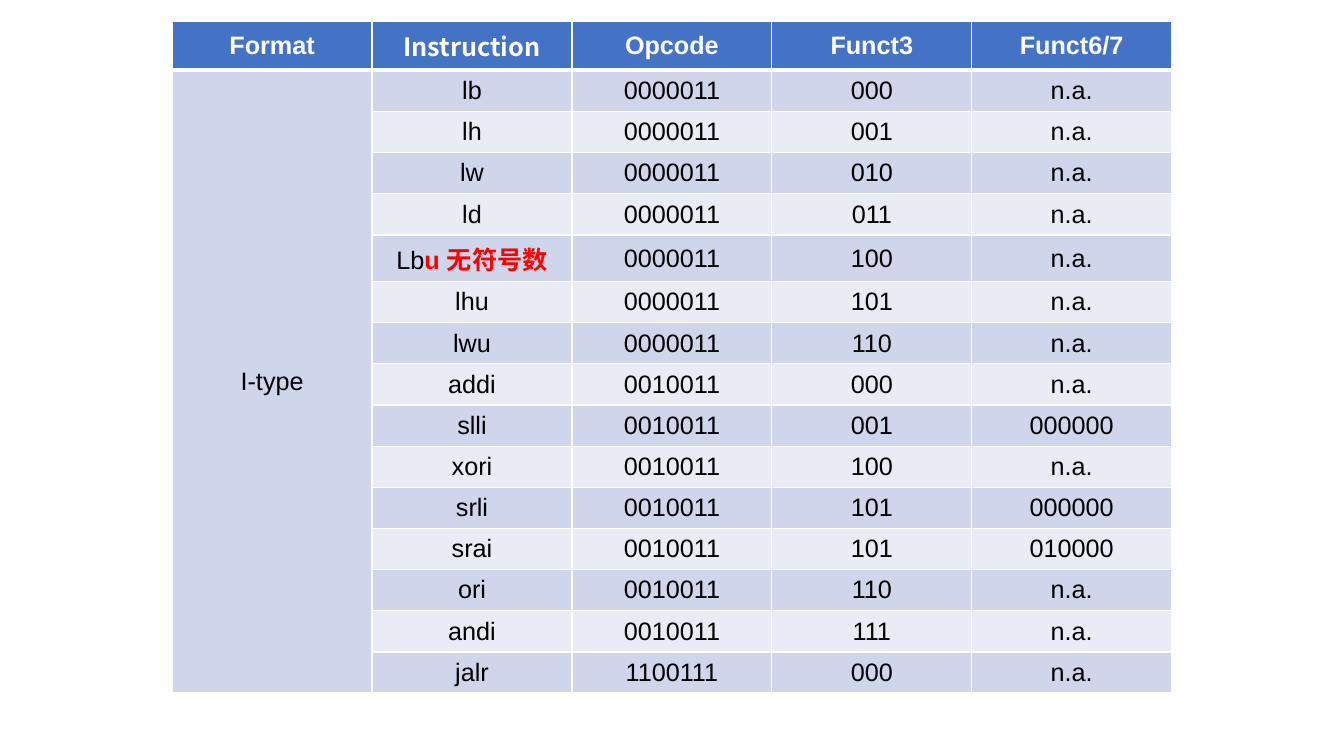
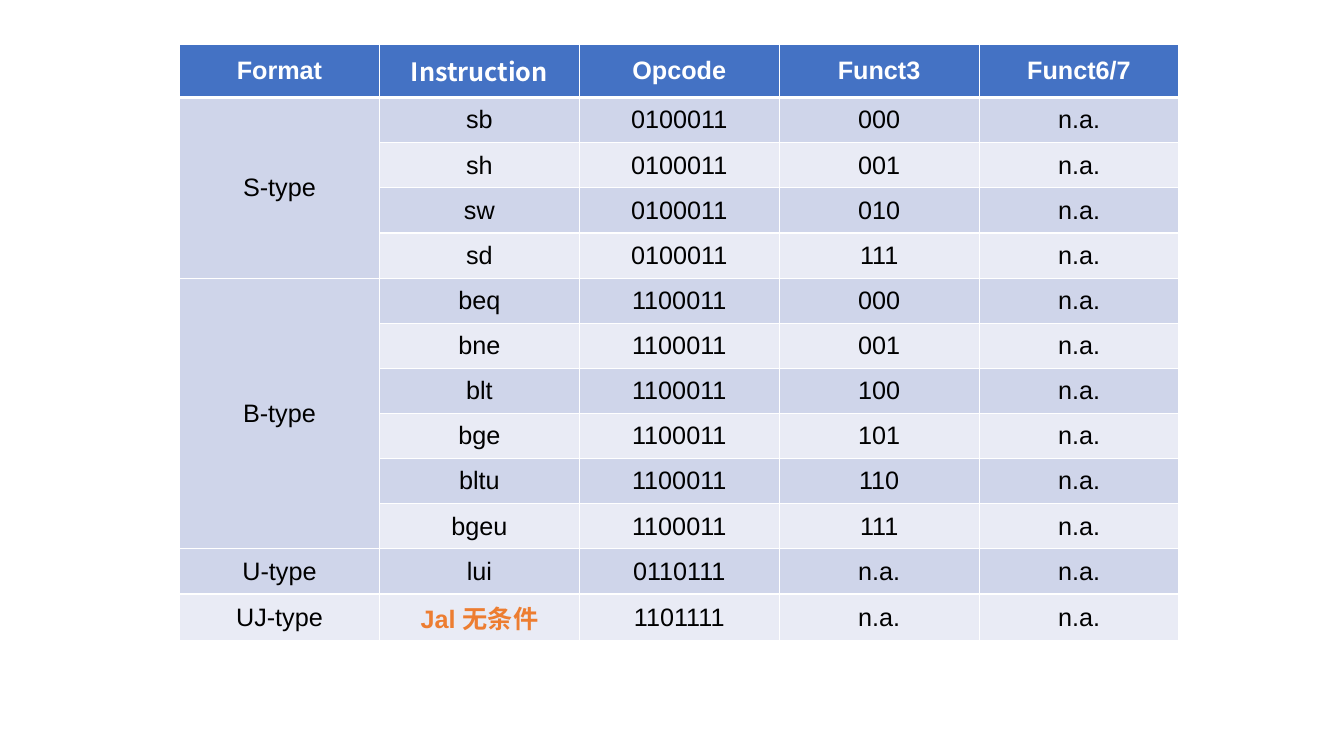
from lxml import etree
from pptx import Presentation
from pptx.dml.color import RGBColor
from pptx.enum.text import MSO_ANCHOR, PP_ALIGN
from pptx.oxml.ns import qn
from pptx.util import Pt

CENTER = PP_ALIGN.CENTER
MIDDLE = MSO_ANCHOR.MIDDLE
PX = 9525  # EMU per px, 96 px to the inch
COLORS = {
    "header": "4472C4",
    "band_dark": "CFD5EA",
    "band_light": "E9EBF5",
    "white": "FFFFFF",
    "black": "000000",
    "red": "FF0000",
    "orange": "ED7D31",
}
FONT = "Arial"
CJK_FONT = "Noto Sans CJK SC"
TEXT_SIZE = 18
GRID_LINE, HEADER_LINE = 1, 3
HEADERS = ["Format", "Instruction", "Opcode", "Funct3", "Funct6/7"]
NA = "n.a."

# Each group: format name and its rows; an instruction may be a list of (text, color) runs
I_TYPE = [
    ("I-type", [
        ("lb", "0000011", "000", NA),
        ("lh", "0000011", "001", NA),
        ("lw", "0000011", "010", NA),
        ("ld", "0000011", "011", NA),
        ([("Lb", None), ("u 无符号数", "red")], "0000011", "100", NA),
        ("lhu", "0000011", "101", NA),
        ("lwu", "0000011", "110", NA),
        ("addi", "0010011", "000", NA),
        ("slli", "0010011", "001", "000000"),
        ("xori", "0010011", "100", NA),
        ("srli", "0010011", "101", "000000"),
        ("srai", "0010011", "101", "010000"),
        ("ori", "0010011", "110", NA),
        ("andi", "0010011", "111", NA),
        ("jalr", "1100111", "000", NA),
    ]),
]
OTHER_TYPES = [
    ("S-type", [
        ("sb", "0100011", "000", NA),
        ("sh", "0100011", "001", NA),
        ("sw", "0100011", "010", NA),
        ("sd", "0100011", "111", NA),
    ]),
    ("B-type", [
        ("beq", "1100011", "000", NA),
        ("bne", "1100011", "001", NA),
        ("blt", "1100011", "100", NA),
        ("bge", "1100011", "101", NA),
        ("bltu", "1100011", "110", NA),
        ("bgeu", "1100011", "111", NA),
    ]),
    ("U-type", [("lui", "0110111", NA, NA)]),
    ("UJ-type", [([("Jal 无条件", "orange")], "1101111", NA, NA)]),
]


def rgb(name):
    return RGBColor.from_string(COLORS[name])


class Deck:
    """Holds the shared style and the current slide."""

    def __init__(self, width, height):
        self.presentation = Presentation()
        self.presentation.slide_width = width * PX
        self.presentation.slide_height = height * PX
        self.slide = None

    def add_slide(self):
        self.slide = self.presentation.slides.add_slide(self.presentation.slide_layouts[6])

    def border(self, cell, side, width):
        properties = cell._tc.get_or_add_tcPr()
        line = etree.SubElement(properties, qn(f"a:ln{side}"), w=str(Pt(width)))
        fill = etree.SubElement(line, qn("a:solidFill"))
        etree.SubElement(fill, qn("a:srgbClr"), val=COLORS["white"])

    def style_cell(self, cell, fill, top=GRID_LINE, bottom=GRID_LINE):
        # Borders come before the fill in the cell properties
        for side, width in (("L", GRID_LINE), ("R", GRID_LINE), ("T", top), ("B", bottom)):
            self.border(cell, side, width)
        cell.fill.solid()
        cell.fill.fore_color.rgb = rgb(fill)
        cell.vertical_anchor = MIDDLE

    def cell_text(self, cell, content, color="black", bold=False, font=FONT):
        paragraph = cell.text_frame.paragraphs[0]
        paragraph.alignment = CENTER
        paragraph.font.name = font
        paragraph.font.size = Pt(TEXT_SIZE)
        paragraph.font.bold = bold
        paragraph.font.color.rgb = rgb(color)
        runs = [(content, None)] if isinstance(content, str) else content
        for text, accent in runs:
            run = paragraph.add_run()
            run.text = text
            if accent:
                run.font.bold = True
                run.font.color.rgb = rgb(accent)
                etree.SubElement(run._r.get_or_add_rPr(), qn("a:ea"), typeface=CJK_FONT)

    def instruction_table(self, left, top, width, height, header_height, groups):
        row_count = sum(len(rows) for _, rows in groups)
        table = self.slide.shapes.add_table(
            row_count + 1, len(HEADERS), left * PX, top * PX, width * PX, height * PX).table
        for column in table.columns:
            column.width = width * PX // len(HEADERS)
        for row in table.rows:
            row.height = (height - header_height) * PX // row_count
        table.rows[0].height = header_height * PX

        # Header row
        for column, title in enumerate(HEADERS):
            cell = table.cell(0, column)
            self.style_cell(cell, "header", bottom=HEADER_LINE)
            font = CJK_FONT if title == "Instruction" else FONT
            self.cell_text(cell, title, "white", True, font)

        # Banded rows, with the format name merged over its group
        first = 1
        for name, rows in groups:
            for index, values in enumerate(rows, first):
                band = "band_dark" if index % 2 else "band_light"
                top_line = HEADER_LINE if index == 1 else GRID_LINE
                for column in range(len(HEADERS)):
                    self.style_cell(table.cell(index, column), band, top=top_line)
                for column, value in enumerate(values, 1):
                    self.cell_text(table.cell(index, column), value)
            self.cell_text(table.cell(first, 0), name)
            last = first + len(rows) - 1
            if last > first:
                table.cell(first, 0).merge(table.cell(last, 0))
            first = last + 1


def main():
    deck = Deck(1280, 720)

    # I-type instructions
    deck.add_slide()
    deck.instruction_table(164, 20, 952, 635, 47, I_TYPE)

    # S, B, U and UJ types
    deck.add_slide()
    deck.instruction_table(171, 42, 952, 567, 51, OTHER_TYPES)

    deck.presentation.save("out.pptx")


if __name__ == "__main__":
    main()
